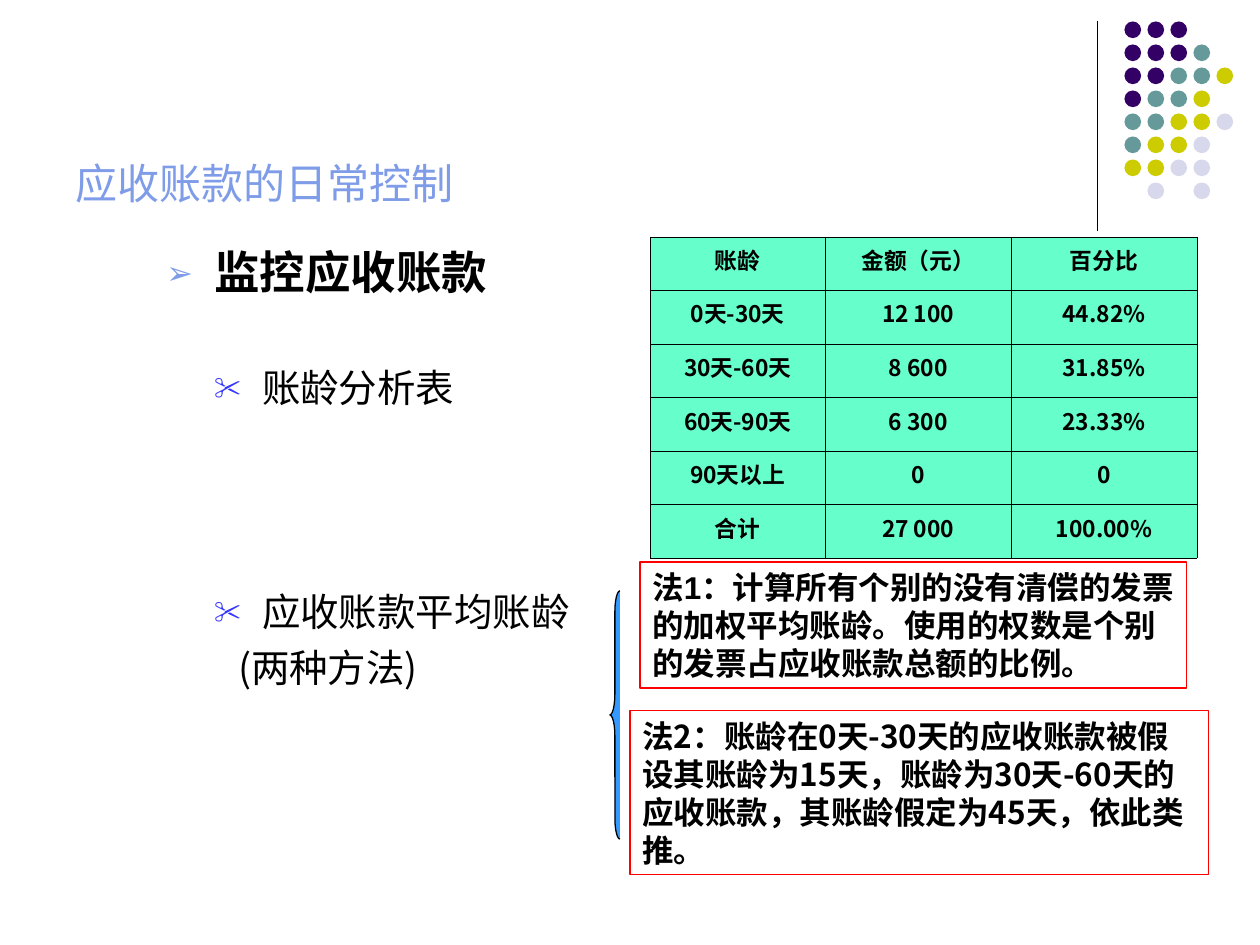
import collections

import lxml.etree
import pptx
import pptx.chart.data
import pptx.dml.color
import pptx.enum.shapes
import pptx.enum.text
import pptx.oxml
import pptx.oxml.ns
import pptx.util

COLORS = {
    "black": "000000", "title": "7E9CE8", "scissors": "3333FF",
    "cell": "66FFCC", "brace": "3399FF", "frame": "FF0000",
    "P": "330066", "T": "669999", "Y": "CCCC00", "L": "D8D8EC",
}
LATIN, CJK = "Arial", "Noto Sans CJK SC"
WIDTH, HEIGHT = pptx.util.Inches(10), pptx.util.Inches(7.5)
LINE_RATIO = 1.206
DOT_ROWS = ["PPP", "PPPT", "PPTTY", "PTTY", "TTYYL", "TYYL", "YYLL", " L L"]
AGING = [
    ["账龄", "金额（元）", "百分比"],
    ["0天-30天", "12 100", "44.82%"],
    ["30天-60天", "8 600", "31.85%"],
    ["60天-90天", "6 300", "23.33%"],
    ["90天以上", "0", "0"],
    ["合计", "27 000", "100.00%"],
]
METHOD_1 = "法1：计算所有个别的没有清偿的发票的加权平均账龄。使用的权数是个别的发票占应收账款总额的比例。"
METHOD_2 = "法2：账龄在0天-30天的应收账款被假设其账龄为15天，账龄为30天-60天的应收账款，其账龄假定为45天，依此类推。"

Box = collections.namedtuple("Box", "left top width height")
Point = collections.namedtuple(
    "Point", "text size bold before margin indent bullet color")
POINTS = [
    Point("监控应收账款", 26, True, 0, 0.38, -0.38, "➢", "title"),
    Point("账龄分析表", 22, False, 37.5, 0.76, -0.38, "✂", "scissors"),
    Point("应收账款平均账龄", 22, False, 101.5, 0.76, -0.38, "✂", "scissors"),
    Point("(两种方法)", 22, False, 5.5, 0.57, 0, None, None),
]


def percent_box(left, top, width, height):
    return Box(int(WIDTH * left / 100), int(HEIGHT * top / 100),
               int(WIDTH * width / 100), int(HEIGHT * height / 100))


def rgb(key):
    return pptx.dml.color.RGBColor.from_string(COLORS[key])


def add_child(parent, tag, **attributes):
    child = lxml.etree.SubElement(parent, pptx.oxml.ns.qn(tag))
    for key, value in attributes.items():
        child.set(key, str(value))
    return child


def place(shape, box):
    shape.left, shape.top, shape.width, shape.height = box


def format_runs(paragraph, size, color, bold, latin=CJK):
    for run in paragraph.runs:
        run.font.size = pptx.util.Pt(size)
        run.font.bold = bold
        run.font.name = latin
        run.font.color.rgb = rgb(color)
        add_child(run.font._element, "a:ea", typeface=CJK)


def add_preset(slide, kind, box, fill=None, line=None):
    shape = slide.shapes.add_shape(kind, *box)
    shape.shadow.inherit = False
    if fill:
        shape.fill.solid()
        shape.fill.fore_color.rgb = rgb(fill)
    else:
        shape.fill.background()
    if line:
        shape.line.color.rgb = rgb(line)
        shape.line.width = pptx.util.Pt(0.75)
    else:
        shape.line.fill.background()
    return shape


def add_ornament(slide, box):
    rule = slide.shapes.add_connector(
        pptx.enum.shapes.MSO_CONNECTOR.STRAIGHT,
        box.left, box.top, box.left, box.top + box.height)
    rule.line.color.rgb = rgb("black")
    rule.line.width = pptx.util.Pt(0.75)
    add_child(rule._element.spPr, "a:effectLst")
    pitch = box.height * 0.11
    diameter = int(box.height * 0.08)
    first_left = box.left + box.width * 0.2
    for row, keys in enumerate(DOT_ROWS):
        for column, key in enumerate(keys):
            if key != " ":
                dot = Box(int(first_left + column * pitch),
                          int(box.top + row * pitch), diameter, diameter)
                add_preset(slide, pptx.enum.shapes.MSO_SHAPE.OVAL, dot, key)


def add_title(slide, box):
    title = slide.shapes.title
    place(title, box)
    frame = title.text_frame
    frame.text = "应收账款的日常控制"
    frame.auto_size = pptx.enum.text.MSO_AUTO_SIZE.NONE
    frame.vertical_anchor = pptx.enum.text.MSO_ANCHOR.BOTTOM
    frame.paragraphs[0].alignment = pptx.enum.text.PP_ALIGN.LEFT
    format_runs(frame.paragraphs[0], 24, "title", False, LATIN)


def add_bullet(properties, point):
    if not point.bullet:
        add_child(properties, "a:buNone")
        return
    color = add_child(properties, "a:buClr")
    add_child(color, "a:srgbClr", val=COLORS[point.color])
    add_child(properties, "a:buSzPct", val=70000)
    add_child(properties, "a:buFont", typeface=CJK)
    add_child(properties, "a:buChar", char=point.bullet)


def add_points(slide, box):
    body = slide.placeholders[1]
    place(body, box)
    frame = body.text_frame
    frame.text = "\n".join(point.text for point in POINTS)
    frame.auto_size = pptx.enum.text.MSO_AUTO_SIZE.NONE
    for paragraph, point in zip(frame.paragraphs, POINTS):
        paragraph.level = 0 if point.bold else 1
        paragraph.line_spacing = pptx.util.Pt(point.size * LINE_RATIO)
        paragraph.space_before = pptx.util.Pt(point.before)
        properties = paragraph._p.get_or_add_pPr()
        properties.set("marL", str(pptx.util.Inches(point.margin)))
        properties.set("indent", str(pptx.util.Inches(point.indent)))
        add_bullet(properties, point)
        format_runs(paragraph, point.size, "black", point.bold)


def add_cell_borders(cell):
    properties = cell._tc.get_or_add_tcPr()
    for side in "LRTB":
        border = add_child(properties, f"a:ln{side}", w=pptx.util.Pt(0.45))
        fill = add_child(border, "a:solidFill")
        add_child(fill, "a:srgbClr", val=COLORS["black"])


def add_aging_table(slide, box):
    table = slide.shapes.add_table(len(AGING), len(AGING[0]), *box).table
    for column, share in zip(table.columns, (0.32, 0.34, 0.34)):
        column.width = int(box.width * share)
    for row, values in enumerate(AGING):
        for column, value in enumerate(values):
            cell = table.cell(row, column)
            add_cell_borders(cell)
            cell.fill.solid()
            cell.fill.fore_color.rgb = rgb("cell")
            cell.text_frame.text = value
            paragraph = cell.text_frame.paragraphs[0]
            paragraph.alignment = pptx.enum.text.PP_ALIGN.CENTER
            format_runs(paragraph, 13, "black", True)


def add_brace(slide, box):
    brace = add_preset(slide, pptx.enum.shapes.MSO_SHAPE.LEFT_BRACE,
                       box, "brace", "black")
    brace.adjustments[0] = box.height / box.width / 12


def add_method(slide, box, text, latin):
    shape = add_preset(slide, pptx.enum.shapes.MSO_SHAPE.RECTANGLE,
                       box, line="frame")
    frame = shape.text_frame
    frame.word_wrap = True
    frame.vertical_anchor = pptx.enum.text.MSO_ANCHOR.MIDDLE
    frame.text = text
    paragraph = frame.paragraphs[0]
    paragraph.alignment = pptx.enum.text.PP_ALIGN.LEFT
    paragraph.line_spacing = pptx.util.Pt(18 * LINE_RATIO)
    format_runs(paragraph, 18, "black", True, latin)


def main():
    deck = pptx.Presentation()
    deck.slide_width, deck.slide_height = WIDTH, HEIGHT
    slide = deck.slides.add_slide(deck.slide_layouts[1])
    add_ornament(slide, percent_box(87.1, 2.27, 10.7, 22.13))
    add_title(slide, percent_box(5, 4.8, 82.5, 17.87))
    add_points(slide, percent_box(12.2, 25.07, 37, 53.6))
    add_aging_table(slide, percent_box(51.6, 25.07, 43.4, 34))
    add_brace(slide, percent_box(48.4, 62.53, 0.8, 26.27))
    add_method(slide, percent_box(50.8, 59.47, 43.4, 13.33), METHOD_1, LATIN)
    add_method(slide, percent_box(50, 75.2, 45.9, 17.33), METHOD_2, CJK)
    deck.save("out.pptx")


if __name__ == "__main__":
    main()
